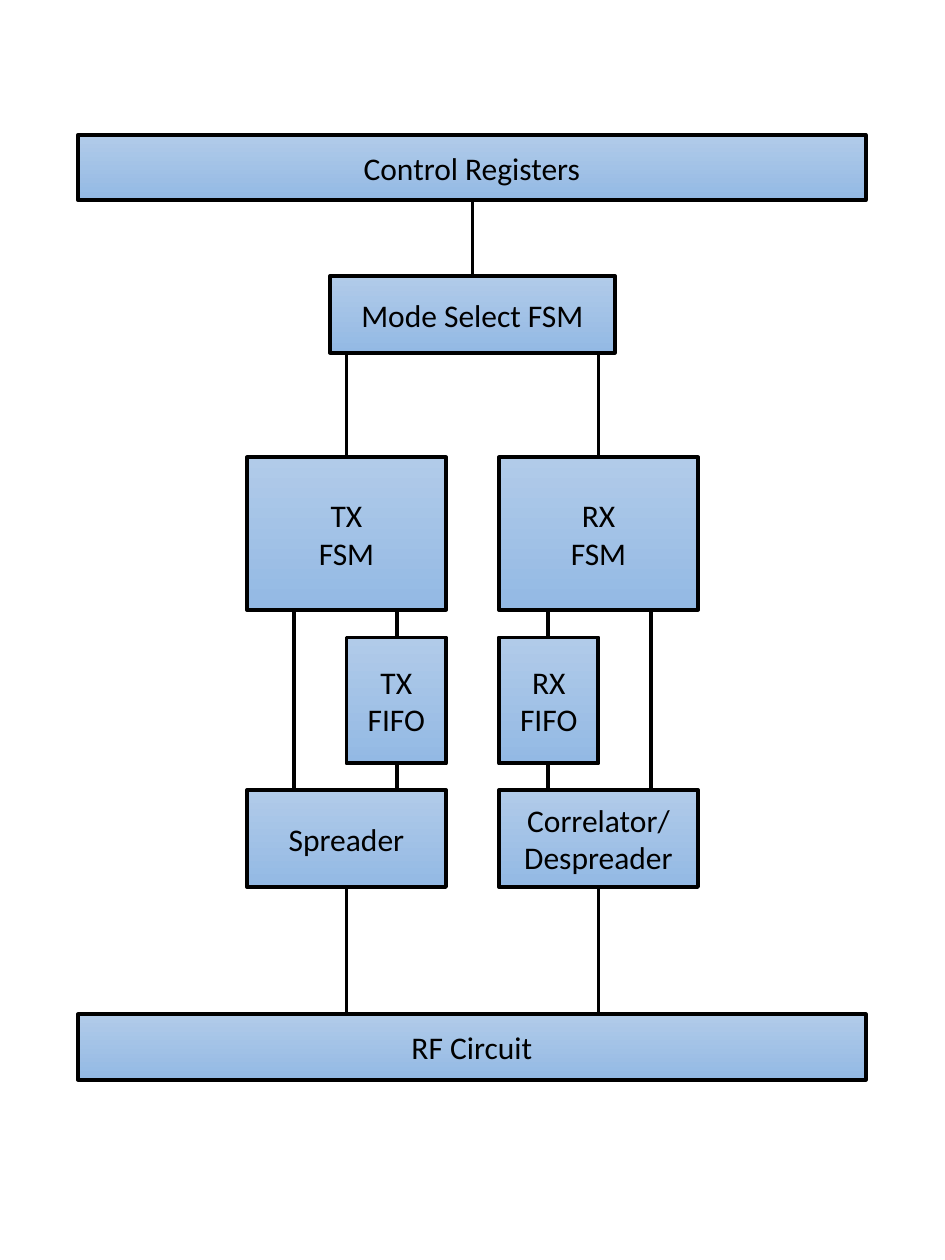
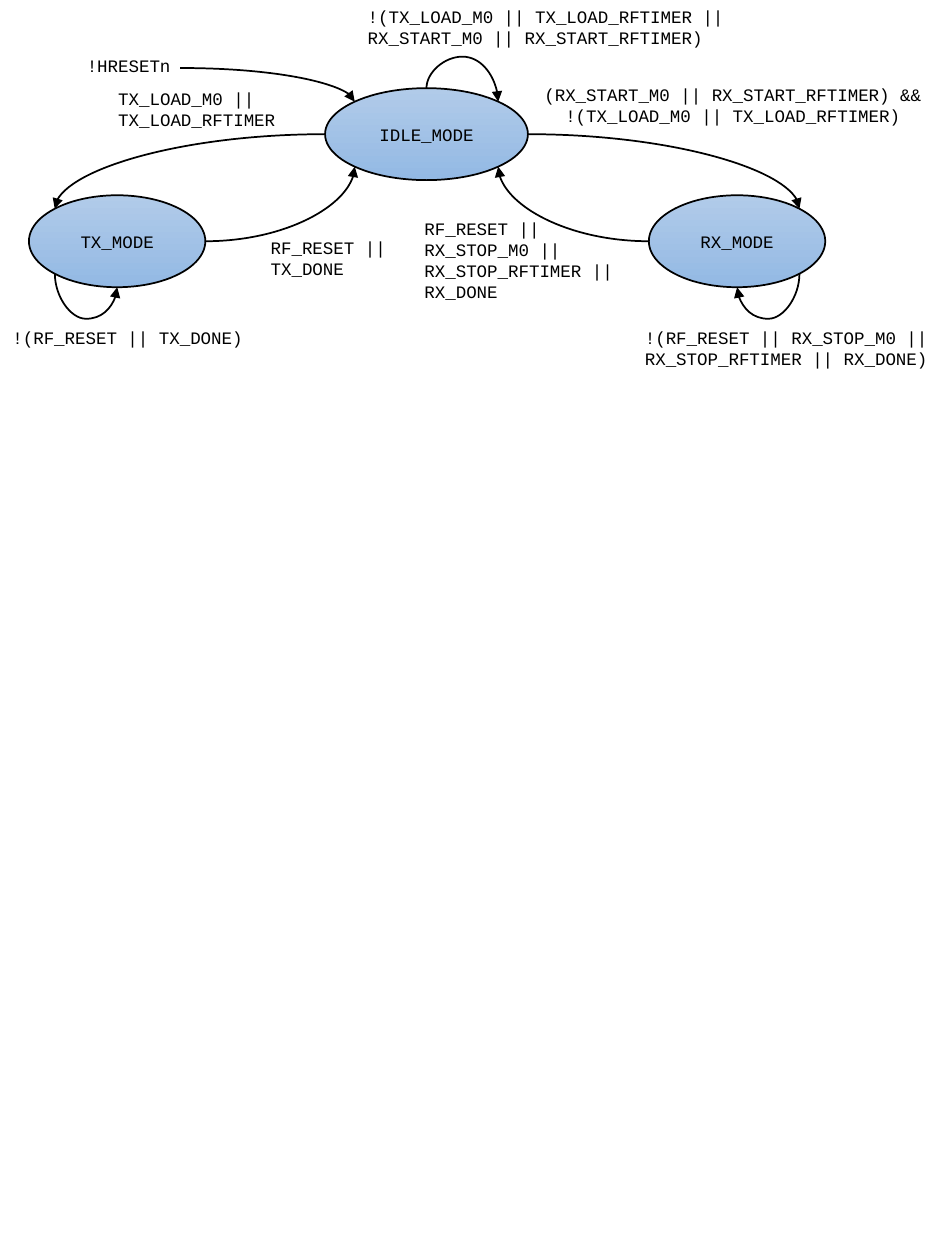
from dataclasses import dataclass
from math import sqrt

from pptx import Presentation
from pptx.dml.color import RGBColor as RGB
from pptx.enum.shapes import MSO_CONNECTOR as LINK, MSO_SHAPE as SHAPE
from pptx.enum.text import MSO_ANCHOR as ANCHOR, MSO_AUTO_SIZE as FIT, PP_ALIGN as ALIGN
from pptx.oxml.ns import qn
from pptx.util import Inches, Pt
from lxml import etree


@dataclass(frozen=True)
class Style:
    font: str
    size: float
    line: float


BLOCK = Style("Calibri", 18, 2.25)
STATE = Style("Courier New", 10, 1)
INK = RGB(0, 0, 0)
SHADES = RGB(0xB1, 0xCB, 0xE9), RGB(0x93, 0xB9, 0xE4)

# Block diagram: name -> text, left, top, width, height
BLOCKS = {
    "regs": ("Control Registers", 0.62, 1.07, 6.25, 0.52),
    "rf": ("RF Circuit", 0.62, 8.05, 6.25, 0.52),
    "mode": ("Mode Select FSM", 2.62, 2.19, 2.26, 0.61),
    "rx": ("RX\nFSM", 3.96, 3.63, 1.58, 1.21),
    "tx": ("TX\nFSM", 1.96, 3.63, 1.58, 1.21),
    "rx fifo": ("RX\nFIFO", 3.96, 5.06, 0.79, 1),
    "tx fifo": ("TX\nFIFO", 2.75, 5.06, 0.79, 1),
    "rx code": ("Correlator/\nDespreader", 3.96, 6.27, 1.58, 0.77),
    "tx code": ("Spreader", 1.96, 6.27, 1.58, 0.77),
}
AXIS = 3.75
# Upper block, lower block, distance from the axis; for each side
WIRES = [
    ("mode", "{}", 1),
    ("{}", "{} fifo", 0.6),
    ("{}", "{} code", 1.42),
    ("{} fifo", "{} code", 0.6),
    ("{} code", "rf", 1),
]

# State machine: name -> text, left, top, width, height
STATES = {
    "idle": ("IDLE_MODE", 2.58, 0.7, 1.61, 0.73),
    "rx": ("RX_MODE", 5.15, 1.55, 1.4, 0.73),
    "tx": ("TX_MODE", 0.23, 1.55, 1.4, 0.73),
}
# State and side where each arrow starts and ends
MOVES = [
    ("idle", "e", "rx", "ne"),
    ("rx", "w", "idle", "se"),
    ("tx", "e", "idle", "sw"),
    ("idle", "w", "tx", "nw"),
]
LOOPS = [("idle", "n", "ne"), ("rx", "se", "s"), ("tx", "sw", "s")]
RESET = 1.43, 0.54
REACH = 0.25
# Text, left, top, width, height, alignment
LABELS = [
    ("!HRESETn", 0.59, 0.39, 0.88, 0.27, ALIGN.LEFT),
    ("TX_LOAD_M0 ||\nTX_LOAD_RFTIMER", 0.84, 0.65, 1.46, 0.44, ALIGN.LEFT),
    ("(RX_START_M0 || RX_START_RFTIMER) &&\n!(TX_LOAD_M0 || TX_LOAD_RFTIMER)",
     4.2, 0.62, 3.23, 0.44, ALIGN.CENTER),
    ("RF_RESET ||\nTX_DONE", 2.05, 1.83, 1.13, 0.44, ALIGN.LEFT),
    ("RF_RESET ||\nRX_STOP_M0 ||\nRX_STOP_RFTIMER ||\nRX_DONE",
     3.27, 1.68, 1.72, 0.77, ALIGN.LEFT),
    ("!(RF_RESET || TX_DONE)", 0, 2.55, 2.05, 0.27, ALIGN.LEFT),
    ("!(RF_RESET || RX_STOP_M0 ||\nRX_STOP_RFTIMER || RX_DONE)",
     5.02, 2.55, 2.47, 0.44, ALIGN.LEFT),
    ("!(TX_LOAD_M0 || TX_LOAD_RFTIMER ||\nRX_START_M0 || RX_START_RFTIMER)",
     2.82, 0, 3.06, 0.44, ALIGN.LEFT),
]


def write(frame, text, style, align):
    frame.text = text
    for par in frame.paragraphs:
        par.alignment = align
        par.font.name, par.font.size = style.font, Pt(style.size)
        par.font.color.rgb = INK


def add_node(slide, kind, node, style):
    text, *area = node
    shape = slide.shapes.add_shape(kind, *map(Inches, area))
    shape.shadow.inherit = False
    shape.fill.gradient()
    shape.fill.gradient_angle = 270
    for stop, shade in zip(shape.fill.gradient_stops, SHADES):
        stop.color.rgb = shade
    shape.line.color.rgb, shape.line.width = INK, Pt(style.line)
    shape.text_frame.vertical_anchor = ANCHOR.MIDDLE
    write(shape.text_frame, text, style, ALIGN.CENTER)


def add_label(slide, text, *area, align):
    frame = slide.shapes.add_textbox(*map(Inches, area)).text_frame
    frame.word_wrap, frame.auto_size = False, FIT.SHAPE_TO_FIT_TEXT
    write(frame, text, STATE, align)


def add_line(slide, kind, start, end, style):
    line = slide.shapes.add_connector(kind, *map(Inches, (*start, *end)))
    line.line.color.rgb, line.line.width = INK, Pt(style.line)
    etree.SubElement(line._element.spPr, qn("a:effectLst"))
    return line


def add_curve(slide, start, end):
    """Draw a curved arrow and return its shape properties."""
    curve = add_line(slide, LINK.CURVE, start, end, STATE)
    etree.SubElement(curve.line._get_or_add_ln(), qn("a:tailEnd"), type="triangle")
    return curve._element.spPr


def add_move(slide, start, end):
    """Draw an arrow that leaves sideways and arrives upright."""
    props = add_curve(slide, start, end)
    props.find(qn("a:prstGeom")).set("prst", "curvedConnector2")


def add_loop(slide, start, end, peak):
    """Draw an arrow that leaves upright, turns at height peak and comes back."""
    (x1, y1), (x2, y2) = start, end
    midx, midy = (x1 + x2) / 2, (y1 + y2) / 2
    halfw, halfh = (y2 - y1) / 2, abs(x2 - x1) / 2
    turn = 90 if x2 < x1 else 270
    if turn == 270:
        halfw = -halfw
    props = add_curve(slide, (midx - halfw, midy - halfh), (midx + halfw, midy + halfh))
    props.find(qn("a:xfrm")).set("rot", str(turn * 60000))
    guides = props.find(qn("a:prstGeom")).get_or_add_avLst()
    bend = round((peak - y1) / (y2 - y1) * 100000)
    etree.SubElement(guides, qn("a:gd"), name="adj1", fmla=f"val {bend}")


def rim(state, side):
    """Find the point of a state's ellipse on a compass side."""
    _, left, top, wide, high = STATES[state]
    dx = ("e" in side) - ("w" in side)
    dy = ("s" in side) - ("n" in side)
    span = 2 * sqrt(len(side))
    return left + wide / 2 + dx * wide / span, top + high / 2 + dy * high / span


def draw_blocks(slide):
    for node in BLOCKS.values():
        add_node(slide, SHAPE.RECTANGLE, node, BLOCK)

    def wire(upper, lower, x):
        _, _, top, _, high = BLOCKS[upper]
        add_line(slide, LINK.STRAIGHT, (x, top + high), (x, BLOCKS[lower][2]), BLOCK)

    wire("regs", "mode", AXIS)
    for side, sign in (("tx", -1), ("rx", 1)):
        for upper, lower, gap in WIRES:
            wire(upper.format(side), lower.format(side), AXIS + sign * gap)


def draw_states(slide):
    for node in STATES.values():
        add_node(slide, SHAPE.OVAL, node, STATE)
    add_move(slide, RESET, rim("idle", "nw"))
    for source, out, target, into in MOVES:
        add_move(slide, rim(source, out), rim(target, into))
    for state, out, into in LOOPS:
        pole = "n" if "n" in out else "s"
        peak = rim(state, pole)[1] + (REACH if pole == "s" else -REACH)
        add_loop(slide, rim(state, out), rim(state, into), peak)
    for *label, align in LABELS:
        add_label(slide, *label, align=align)


def main():
    deck = Presentation()
    deck.slide_width, deck.slide_height = Inches(7.5), Inches(10)
    blank = deck.slide_layouts[6]
    for draw in (draw_blocks, draw_states):
        draw(deck.slides.add_slide(blank))
    deck.save("out.pptx")


if __name__ == "__main__":
    main()
